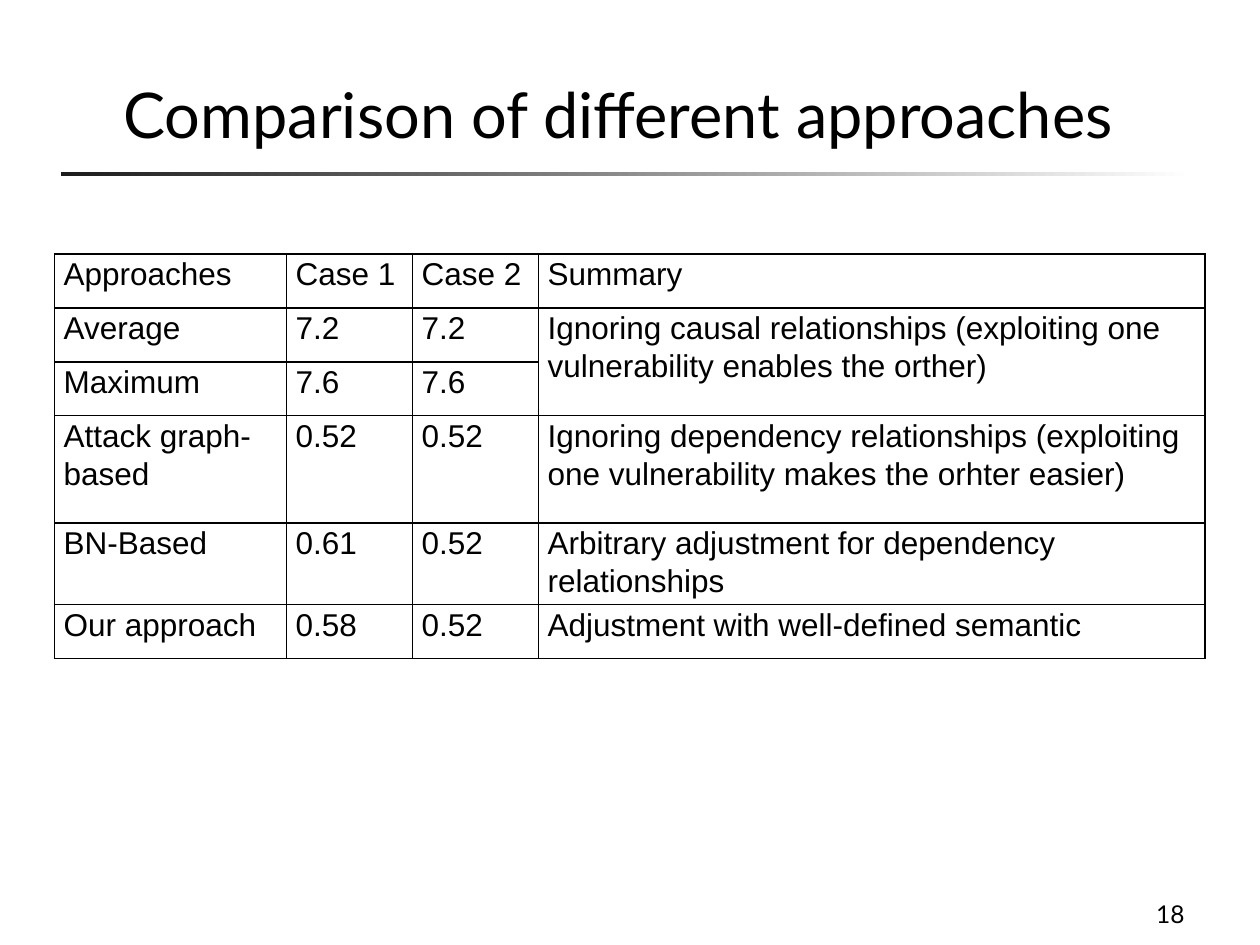
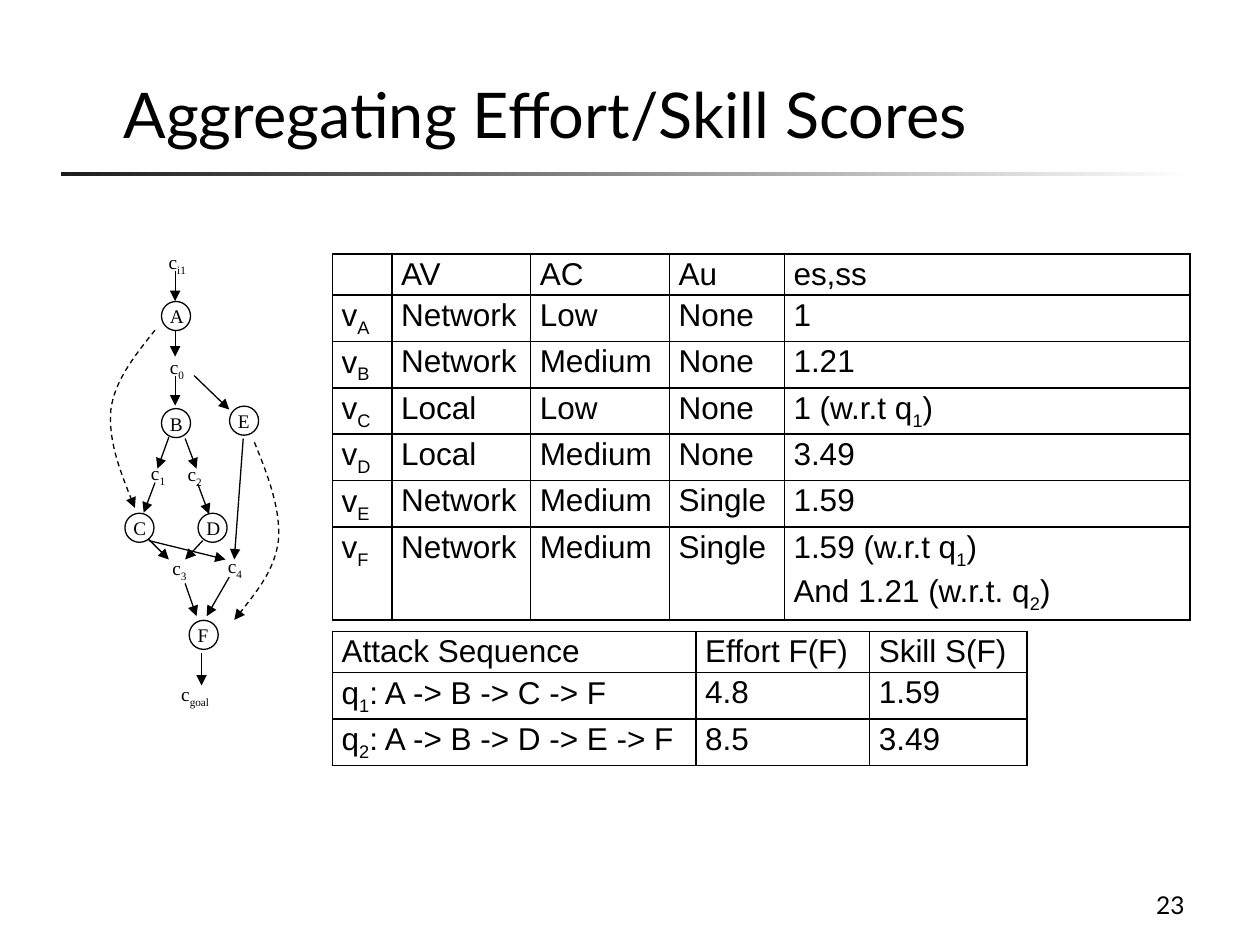
from dataclasses import dataclass

from lxml.etree import SubElement
from pptx import Presentation
from pptx.dml.color import RGBColor as Rgb
from pptx.enum.dml import MSO_LINE as Dash
from pptx.enum.shapes import MSO_CONNECTOR as Link, MSO_SHAPE as Preset
from pptx.enum.text import MSO_ANCHOR as Anchor, MSO_AUTO_SIZE as Fit, PP_ALIGN as Align
from pptx.oxml.ns import qn
from pptx.util import Pt


@dataclass(frozen=True)
class Theme:
    ink: Rgb = Rgb(0, 0, 0)
    paper: Rgb = Rgb(255, 255, 255)
    rule_start: Rgb = Rgb(0x1C, 0x1C, 0x1C)
    heading_font: str = "Lato"
    table_font: str = "Arial"
    graph_font: str = "Times New Roman"
    title_size: float = 36
    table_size: float = 18
    table_leading: float = 1.08
    number_size: float = 14
    graph_size: float = 11
    graph_line: float = 0.75
    border: float = 1


theme = Theme()


def write(frame, text, font, size, align=Align.LEFT, anchor=None, leading=None, after=None):
    frame.word_wrap = True
    if anchor is not None:
        frame.vertical_anchor = anchor
    for index, line in enumerate(text.split("\n")):
        paragraph = frame.add_paragraph() if index else frame.paragraphs[0]
        paragraph.alignment = align
        if leading:
            paragraph.line_spacing = leading
        if after:
            paragraph.space_after = Pt(after)
        for part, piece in enumerate(line.split("~")):
            if not piece:
                continue
            run = paragraph.add_run()
            run.text = piece
            run.font.name = font
            run.font.size = Pt(size)
            run.font.color.rgb = theme.ink
            if part % 2:
                run.font._element.set("baseline", "-25000")


def add_grid(slide, left, top, widths, heights, rows):
    grid = slide.shapes.add_table(
        len(rows), len(widths), Pt(left), Pt(top), Pt(sum(widths)), Pt(sum(heights))
    ).table
    grid.first_row = grid.horz_banding = False
    for column, width in zip(grid.columns, widths):
        column.width = Pt(width)
    for row, height, texts in zip(grid.rows, heights, rows):
        row.height = Pt(height)
        for cell, text in zip(row.cells, texts):
            cell.margin_left = cell.margin_right = Pt(5.2)
            cell.margin_top = cell.margin_bottom = 0
            cell.fill.background()
            write(cell.text_frame, text, theme.table_font, theme.table_size,
                  leading=theme.table_leading)
            properties = cell._tc.get_or_add_tcPr()
            for index, side in enumerate(("lnL", "lnR", "lnT", "lnB")):
                edge = SubElement(properties, qn(f"a:{side}"), w=str(Pt(theme.border)))
                ink = SubElement(edge, qn("a:solidFill"))
                SubElement(ink, qn("a:srgbClr"), val=str(theme.ink))
                properties.insert(index, edge)
    return grid


deck = Presentation()
deck.slide_width, deck.slide_height = Pt(720), Pt(540)

headings = [
    ("Comparison of different approaches", "18", (534.2, 498.2, 149.8, 36)),
    ("Aggregating Effort/Skill Scores", "23", (516.2, 500.4, 167.8, 28.8)),
]
for heading, number, number_box in headings:
    slide = deck.slides.add_slide(deck.slide_layouts[5])
    title = slide.shapes.title
    title.left, title.top, title.width, title.height = Pt(63.4), Pt(18), Pt(613.4), Pt(72)
    title.text_frame.auto_size = Fit.NONE
    write(title.text_frame, heading, theme.heading_font, theme.title_size, anchor=Anchor.BOTTOM)

    rule = slide.shapes.add_shape(Preset.RECTANGLE, Pt(34.6), Pt(98.3), Pt(648), Pt(2.3))
    rule.shadow.inherit = False
    rule.line.fill.background()
    rule.fill.gradient()
    rule.fill.gradient_angle = 0
    for stop, shade in zip(rule.fill.gradient_stops, (theme.rule_start, theme.paper)):
        stop.color.rgb = shade

    page_number = slide.shapes.add_textbox(*map(Pt, number_box))
    write(page_number.text_frame, number, theme.heading_font, theme.number_size,
          align=Align.RIGHT, anchor=Anchor.BOTTOM)

comparison, scores = deck.slides

approaches = add_grid(
    comparison, 31.2, 145.2, (132.5, 72, 72, 381), (30.8, 30.8, 30.8, 61.4, 46.3, 30.8),
    [
        ("Approaches", "Case 1", "Case 2", "Summary"),
        ("Average", "7.2", "7.2",
         "Ignoring causal relationships (exploiting one vulnerability enables the orther)"),
        ("Maximum", "7.6", "7.6", ""),
        ("Attack graph-based", "0.52", "0.52",
         "Ignoring dependency relationships (exploiting one vulnerability makes the orhter easier)"),
        ("BN-Based", "0.61", "0.52", "Arbitrary adjustment for dependency relationships"),
        ("Our approach", "0.58", "0.52", "Adjustment with well-defined semantic"),
    ],
)
approaches.cell(1, 3).merge(approaches.cell(2, 3))

graph = scores.shapes.add_group_shape().shapes
exploits = {
    "A": (90, 170.6), "B": (90, 231.8), "C": (69.1, 291.6),
    "D": (110.9, 291.6), "E": (128.9, 230.4), "F": (105.8, 352.8),
}
conditions = {
    "c~i1~": (89.3, 139.7), "c~0~": (90, 199.4), "c~1~": (79.2, 259.9),
    "c~2~": (100.1, 260.6), "c~3~": (91.4, 314.6), "c~4~": (123.1, 313.2),
    "c~goal~": (96.5, 386.6),
}
for name, (x, y) in (conditions | exploits).items():
    width = 15.1 if name in exploits else 41 if name == "c~goal~" else 26.6
    label = graph.add_shape(Preset.RECTANGLE, Pt(x), Pt(y), Pt(width), Pt(20))
    label.shadow.inherit = False
    label.fill.solid()
    label.fill.fore_color.rgb = theme.paper
    label.line.fill.background()
    write(label.text_frame, name, theme.graph_font, theme.graph_size,
          anchor=Anchor.TOP, after=10)

for x, y in exploits.values():
    ring = graph.add_shape(Preset.OVAL, Pt(x + 2.3), Pt(y + 1.7), Pt(16.6), Pt(16.6))
    ring.shadow.inherit = False
    ring.fill.background()
    ring.line.color.rgb = theme.ink
    ring.line.width = Pt(theme.graph_line)

steps = [
    (100.1, 154.8, 100.1, 172.1),
    (100.1, 188.6, 100.1, 203.8),
    (100.1, 214.6, 100.1, 231.8),
    (110.9, 214.6, 131, 234),
    (96.5, 249.8, 90, 267.8),
    (105.8, 250.6, 112.3, 267.8),
    (88.6, 275.8, 82.1, 293),
    (113, 276.5, 119.5, 293.8),
    (85, 308.2, 96.5, 319.7),
    (85, 308.9, 128.9, 319.7),
    (115.9, 308.9, 105.8, 319.7),
    (139, 250.6, 133.9, 319.7),
    (105.8, 333.4, 112.3, 352.1),
    (131, 329.8, 118.1, 352.1),
    (115.2, 373, 115.2, 391.7),
]
arrows = [graph.add_connector(Link.STRAIGHT, *map(Pt, step)) for step in steps]

e_to_f = [(145.4, 252.7), (153.4, 272.2), (160.6, 291.6), (159.1, 308.9),
          (157, 325.4), (145.4, 339.8), (133.9, 354.2)]
a_to_c = [(222.5 - x, 542.9 - y) for x, y in reversed(e_to_f)]
for bend in (e_to_f, a_to_c):
    start, *controls = [(Pt(x), Pt(y)) for x, y in bend]
    builder = graph.build_freeform(*start)
    builder.add_line_segments(controls, close=False)
    dependency = builder.convert_to_shape()
    dependency.fill.background()
    dependency.line.dash_style = Dash.DASH
    outline = dependency._element.find(f".//{qn('a:path')}")
    segments = outline.findall(qn("a:lnTo"))
    for first in range(0, len(segments), 3):
        curve = SubElement(outline, qn("a:cubicBezTo"))
        for segment in segments[first:first + 3]:
            curve.append(segment[0])
            outline.remove(segment)
    arrows.append(dependency)

for arrow in arrows:
    arrow.line.color.rgb = theme.ink
    arrow.line.width = Pt(theme.graph_line)
    outline_properties = arrow._element.spPr
    SubElement(outline_properties.find(qn("a:ln")), qn("a:tailEnd"), type="triangle")
    SubElement(outline_properties, qn("a:effectLst"))

add_grid(
    scores, 190, 145.2, (34, 79.3, 79.3, 65.7, 231.8), (23.2, *[26.5] * 5, 52.9),
    [
        ("", "AV", "AC", "Au", "es,ss"),
        ("v~A~", "Network", "Low", "None", "1"),
        ("v~B~", "Network", "Medium", "None", "1.21"),
        ("v~C~", "Local", "Low", "None", "1 (w.r.t q~1~)"),
        ("v~D~", "Local", "Medium", "None", "3.49"),
        ("v~E~", "Network", "Medium", "Single", "1.59"),
        ("v~F~", "Network", "Medium", "Single", "1.59 (w.r.t q~1~)\nAnd 1.21 (w.r.t. q~2~)"),
    ],
)
add_grid(
    scores, 190, 360.9, (207.8, 99.2, 90), (23.2, 26.5, 26.5),
    [
        ("Attack Sequence", "Effort F(F)", "Skill S(F)"),
        ("q~1~: A -> B -> C -> F", "4.8", "1.59"),
        ("q~2~: A -> B -> D -> E -> F", "8.5", "3.49"),
    ],
)

deck.save("out.pptx")
